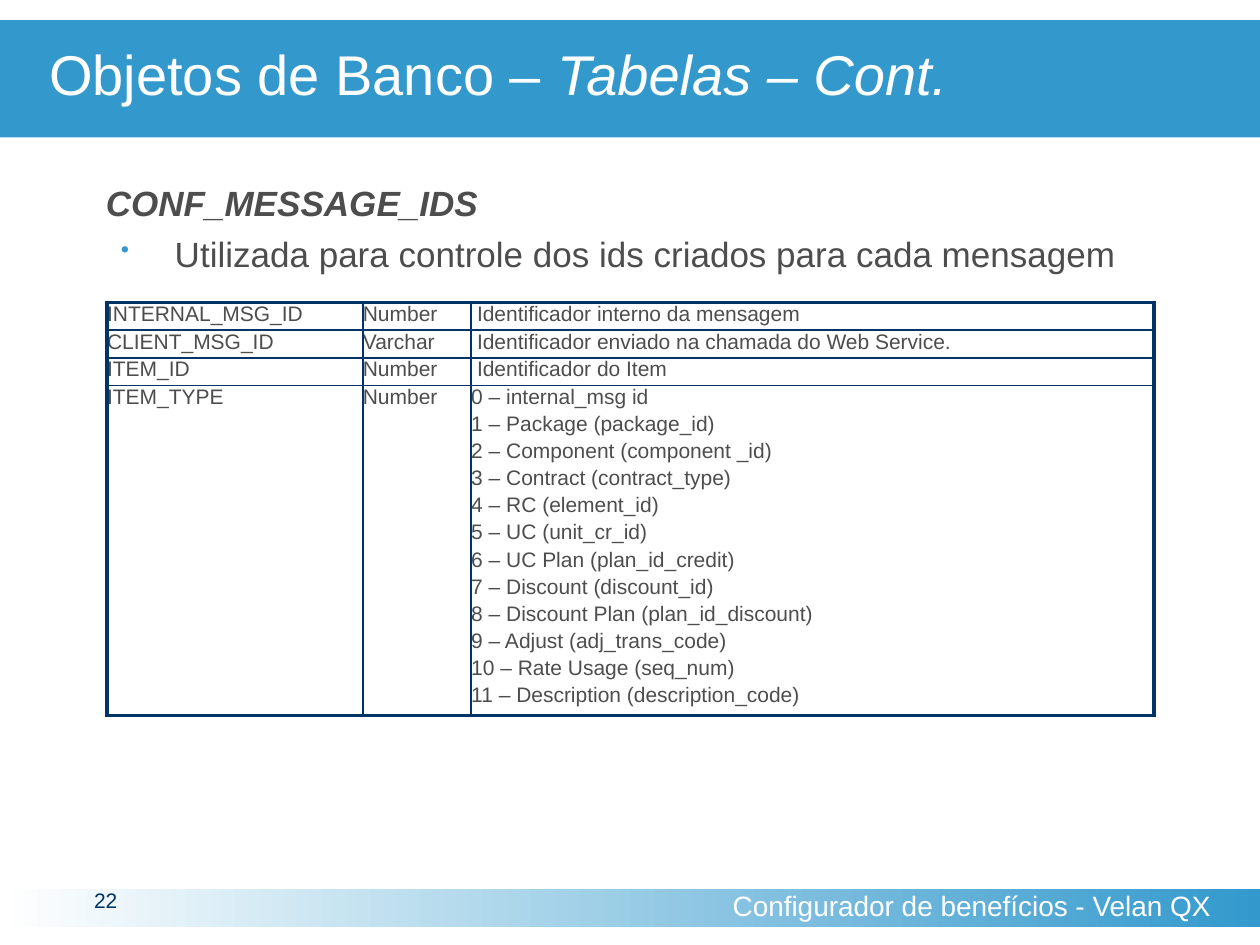
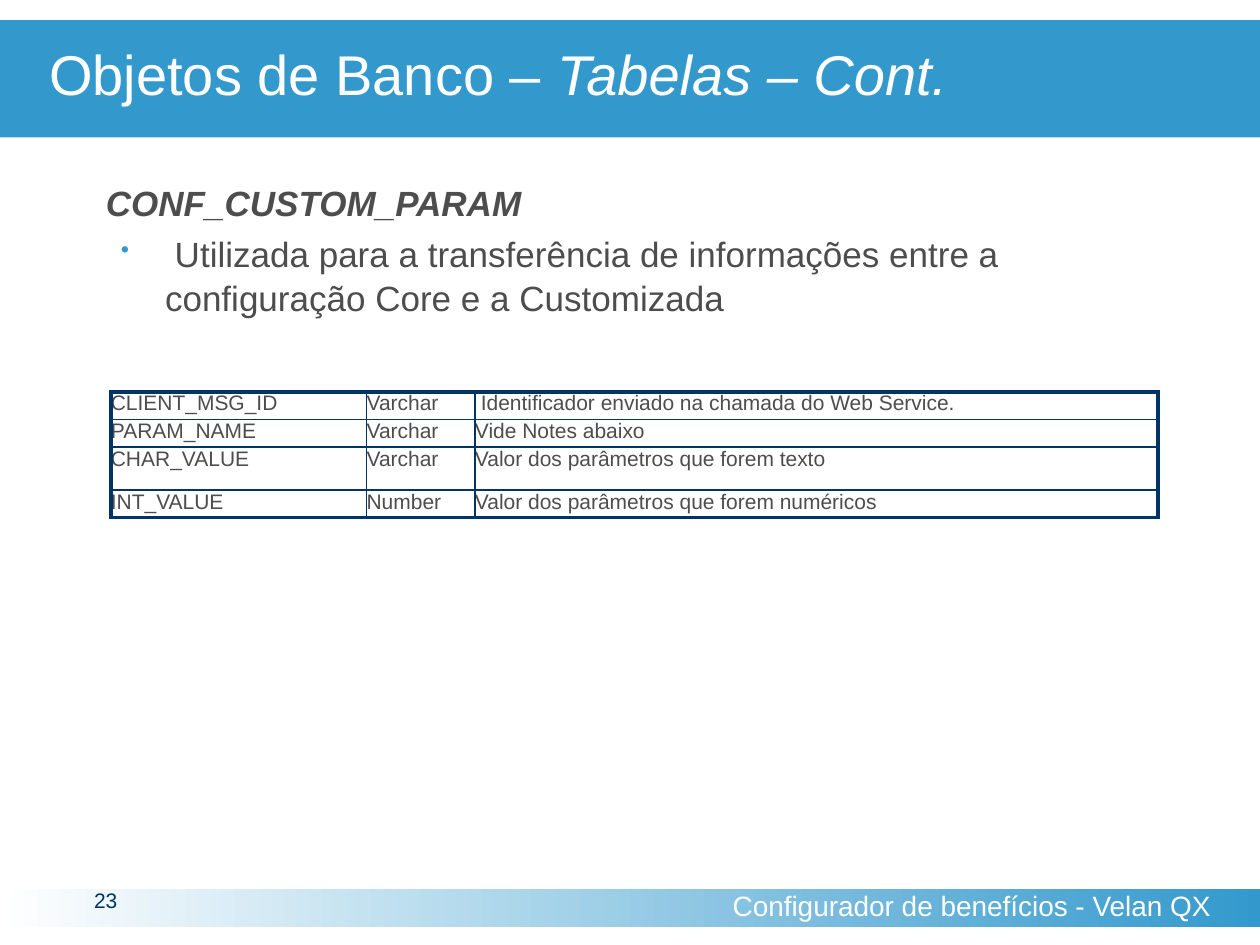
from lxml import etree
from pptx import Presentation
from pptx.dml.color import RGBColor
from pptx.enum.shapes import MSO_SHAPE
from pptx.enum.text import MSO_ANCHOR, MSO_AUTO_SIZE, PP_ALIGN
from pptx.oxml.ns import qn
from pptx.util import Inches, Pt

RECTANGLE = MSO_SHAPE.RECTANGLE
TOP, MIDDLE = MSO_ANCHOR.TOP, MSO_ANCHOR.MIDDLE
LEFT, CENTER, RIGHT = PP_ALIGN.LEFT, PP_ALIGN.CENTER, PP_ALIGN.RIGHT
NO_AUTOFIT = MSO_AUTO_SIZE.NONE

COLORS = {"white": "FFFFFF", "blue": "3399CC", "navy": "003366", "gray": "4D4D4D"}
FONT = "Arial"
FOOTER = "Configurador de benefícios - Velan QX"
COLUMN_WIDTHS = [2.03, 0.86, 5.42]
THIN, THICK = 1, 2.25

SLIDES = [
    {
        "number": 22,
        "heading": "CONF_MESSAGE_IDS",
        "description": " Utilizada para controle dos ids criados para cada mensagem",
        "table_at": (0.85, 2.4),
        "row_heights": [0.22, 0.22, 0.22, 2.62],
        "rows": [
            ("INTERNAL_MSG_ID", "Number", " Identificador interno da mensagem"),
            ("CLIENT_MSG_ID", "Varchar", " Identificador enviado na chamada do Web Service."),
            ("ITEM_ID", "Number", " Identificador do Item"),
            ("ITEM_TYPE", "Number", "\n".join([
                "0 – internal_msg id",
                "1 – Package (package_id)",
                "2 – Component (component _id)",
                "3 – Contract (contract_type)",
                "4 – RC (element_id)",
                "5 – UC (unit_cr_id)",
                "6 – UC Plan (plan_id_credit)",
                "7 – Discount (discount_id)",
                "8 – Discount Plan (plan_id_discount)",
                "9 – Adjust (adj_trans_code)",
                "10 – Rate Usage (seq_num)",
                "11 – Description (description_code)",
            ])),
        ],
    },
    {
        "number": 23,
        "heading": "CONF_CUSTOM_PARAM",
        "description": " Utilizada para a transferência de informações entre a configuração Core e a Customizada",
        "table_at": (0.88, 3.11),
        "row_heights": [0.22, 0.22, 0.34, 0.22],
        "rows": [
            ("CLIENT_MSG_ID", "Varchar", " Identificador enviado na chamada do Web Service."),
            ("PARAM_NAME", "Varchar", "Vide Notes abaixo"),
            ("CHAR_VALUE", "Varchar", "Valor dos parâmetros que forem texto"),
            ("INT_VALUE", "Number", "Valor dos parâmetros que forem numéricos"),
        ],
    },
]


def format_paragraph(paragraph, size, color, alignment=LEFT, line_spacing=1.0, space_before=0):
    paragraph.font.name = FONT
    paragraph.font.size = Pt(size)
    paragraph.font.color.rgb = RGBColor.from_string(COLORS[color])
    paragraph.alignment = alignment
    paragraph.line_spacing = line_spacing
    paragraph.space_before = Pt(space_before)


def prepare_frame(shape, box, anchor=TOP, right_margin=0):
    shape.left, shape.top, shape.width, shape.height = [Inches(length) for length in box]
    frame = shape.text_frame
    frame.word_wrap = True
    frame.auto_size = NO_AUTOFIT
    frame.vertical_anchor = anchor
    frame.margin_left = frame.margin_top = frame.margin_bottom = 0
    frame.margin_right = Inches(right_margin)
    return frame


presentation = Presentation()
presentation.slide_width = Inches(10)
presentation.slide_height = Inches(7.5)
title_only = presentation.slide_layouts[5]

for content in SLIDES:
    slide = presentation.slides.add_slide(title_only)

    band = slide.shapes.add_shape(RECTANGLE, 0, Inches(7.06), Inches(10), Inches(0.3))
    band.shadow.inherit = False
    band.line.fill.background()
    band.fill.gradient()
    band.fill.gradient_angle = 0
    for stop, color in zip(band.fill.gradient_stops, ("white", "blue")):
        stop.color.rgb = RGBColor.from_string(COLORS[color])

    footer = slide.shapes.add_textbox(0, 0, 0, 0)
    paragraph = prepare_frame(footer, (5.31, 7.06, 4.69, 0.3), MIDDLE, 0.39).paragraphs[0]
    paragraph.text = FOOTER
    format_paragraph(paragraph, 16, "white", RIGHT, 0.8)

    slide_number = slide.shapes.add_textbox(0, 0, 0, 0)
    paragraph = prepare_frame(slide_number, (0.31, 7.06, 1.06, 0.31)).paragraphs[0]
    paragraph.text = str(content["number"])
    format_paragraph(paragraph, 12, "navy", CENTER, Pt(13))

    title = slide.shapes.title
    title.fill.solid()
    title.fill.fore_color.rgb = RGBColor.from_string(COLORS["blue"])
    paragraph = prepare_frame(title, (0, 0.16, 10, 0.93), MIDDLE).paragraphs[0]
    paragraph.add_run().text = "Objetos de Banco – "
    subject = paragraph.add_run()
    subject.text = "Tabelas – Cont."
    subject.font.italic = True
    format_paragraph(paragraph, 32, "white", LEFT, 0.85)
    paragraph._p.get_or_add_pPr().set("marL", str(Inches(0.39)))

    body = slide.shapes.add_textbox(0, 0, 0, 0)
    frame = prepare_frame(body, (0.84, 1.42, 8.74, 5.45))
    heading, description = frame.paragraphs[0], frame.add_paragraph()
    heading.text, description.text = content["heading"], content["description"]
    for paragraph in (heading, description):
        format_paragraph(paragraph, 20, "gray", LEFT, 1.05, 4)
    heading.font.bold = heading.font.italic = True
    properties = description._p.get_or_add_pPr()
    properties.set("marL", str(Inches(0.47)))
    properties.set("indent", str(Inches(-0.35)))
    bullet_color = etree.Element(qn("a:buClr"))
    etree.SubElement(bullet_color, qn("a:srgbClr"), val=COLORS["blue"])
    bullet_size = etree.Element(qn("a:buSzPct"), val="70000")
    bullet = etree.Element(qn("a:buChar"), char="•")
    position = properties.index(properties.find(qn("a:defRPr")))
    properties[position:position] = [bullet_color, bullet_size, bullet]

    rows, row_heights = content["rows"], content["row_heights"]
    left, top = content["table_at"]
    table = slide.shapes.add_table(
        len(rows), len(COLUMN_WIDTHS), Inches(left), Inches(top),
        Inches(sum(COLUMN_WIDTHS)), Inches(sum(row_heights))).table
    table.first_row = table.horz_banding = False
    for column, width in zip(table.columns, COLUMN_WIDTHS):
        column.width = Inches(width)
    last_row, last_column = len(rows) - 1, len(COLUMN_WIDTHS) - 1
    for row_index, (row, height) in enumerate(zip(rows, row_heights)):
        table.rows[row_index].height = Inches(height)
        for column_index, text in enumerate(row):
            cell = table.cell(row_index, column_index)
            cell.margin_left = cell.margin_right = cell.margin_top = cell.margin_bottom = 0
            cell.text = text
            for paragraph in cell.text_frame.paragraphs:
                format_paragraph(paragraph, 12, "gray", space_before=2.05)
            outer_sides = {
                "a:lnL": column_index == 0,
                "a:lnR": column_index == last_column,
                "a:lnT": row_index == 0,
                "a:lnB": row_index == last_row,
            }
            cell_properties = cell._tc.get_or_add_tcPr()
            for side, is_outer in outer_sides.items():
                line_width = Pt(THICK if is_outer else THIN)
                border = etree.SubElement(cell_properties, qn(side), w=str(line_width))
                fill = etree.SubElement(border, qn("a:solidFill"))
                etree.SubElement(fill, qn("a:srgbClr"), val=COLORS["navy"])
            cell.fill.background()

presentation.save("out.pptx")
